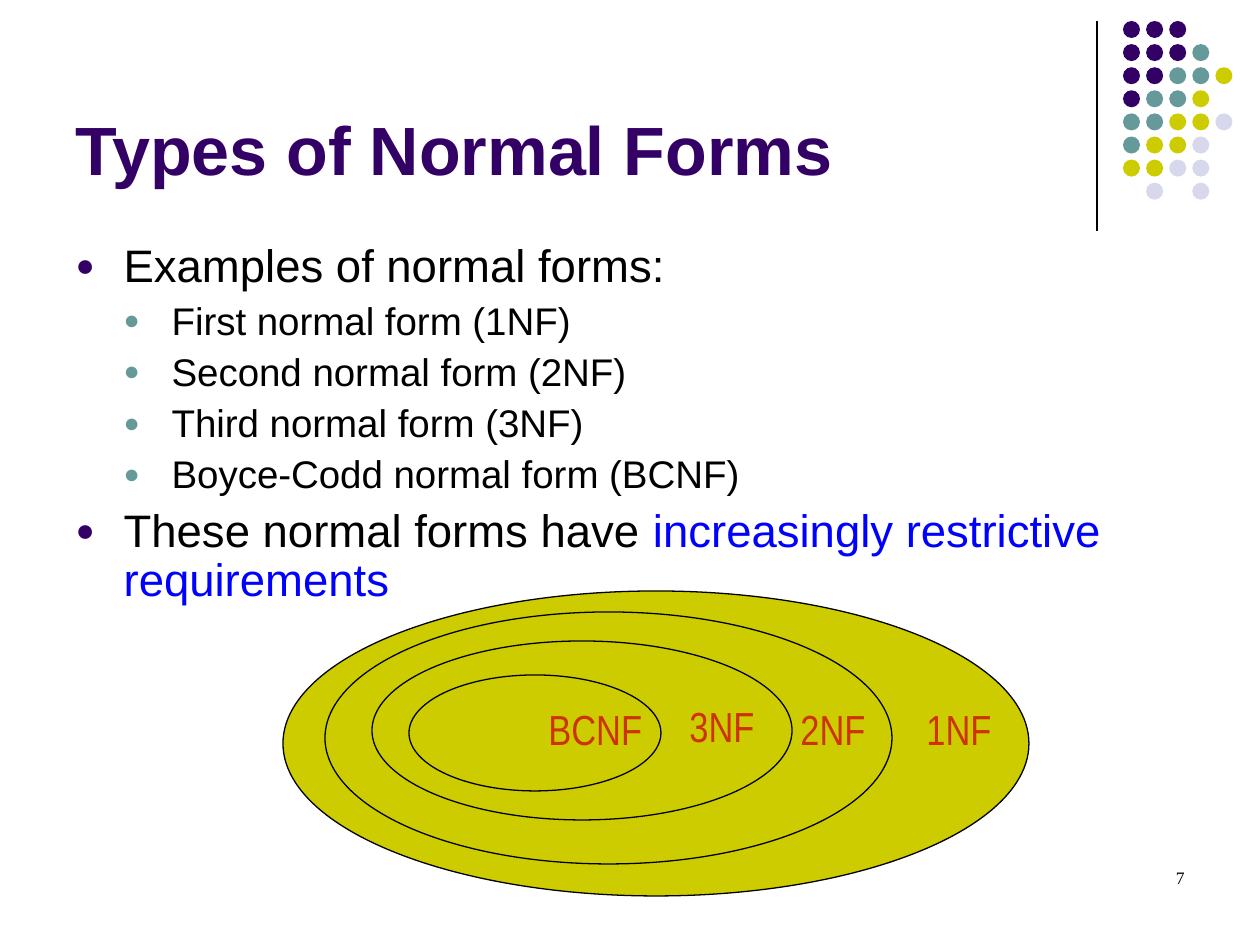
"""Build the slide on types of normal forms with its nested-set diagram."""
from dataclasses import dataclass

import pptx
import pptx.dml.color
import pptx.enum.shapes
import pptx.enum.text
import pptx.util
from lxml import etree

EMU_PER_PX = 914400 / 126
ALIGN = pptx.enum.text.PP_ALIGN
ANCHOR = pptx.enum.text.MSO_ANCHOR
AUTO_SIZE = pptx.enum.text.MSO_AUTO_SIZE
OVAL = pptx.enum.shapes.MSO_SHAPE.OVAL
STRAIGHT = pptx.enum.shapes.MSO_CONNECTOR.STRAIGHT


@dataclass(frozen=True)
class Theme:
    heading: str = "330066"
    teal: str = "669999"
    olive: str = "CCCC00"
    pale: str = "D8D8EC"
    ink: str = "000000"
    emphasis: str = "0000FF"
    label: str = "CC3300"
    body_font: str = "Arial"
    label_font: str = "Arial Narrow"
    number_font: str = "Times New Roman"
    title_size: int = 39
    body_sizes: tuple = (26, 22)
    label_size: int = 24
    number_size: int = 10
    space_before: tuple = (6.5, 5.5)
    line_width: float = 0.75


def px(length):
    return pptx.util.Emu(round(length * EMU_PER_PX))


def rgb(color):
    return pptx.dml.color.RGBColor.from_string(color)


def add_element(parent, tag, **attributes):
    return etree.SubElement(parent, pptx.oxml.ns.qn(tag), **attributes)


class SlideBuilder:
    def __init__(self, slide, theme):
        self.slide = slide
        self.theme = theme

    def style(self, paragraph, size, font, color=None, bold=False):
        paragraph.font.size = pptx.util.Pt(size)
        paragraph.font.name = font
        paragraph.font.bold = bold
        if color:
            paragraph.font.color.rgb = rgb(color)

    def place(self, holder, left, top, width, height, anchor):
        holder.left, holder.top = px(left), px(top)
        holder.width, holder.height = px(width), px(height)
        frame = holder.text_frame
        frame.auto_size = AUTO_SIZE.NONE
        frame.vertical_anchor = anchor
        return frame

    def title(self, text, *box):
        heading = self.place(self.slide.shapes.title, *box, ANCHOR.BOTTOM).paragraphs[0]
        heading.text = text
        heading.alignment = ALIGN.LEFT
        theme = self.theme
        self.style(heading, theme.title_size, theme.body_font, theme.heading, bold=True)

    def bullets(self, items, *box):
        theme = self.theme
        frame = self.place(self.slide.placeholders[1], *box, ANCHOR.TOP)
        for index, (level, *runs) in enumerate(items):
            item = frame.paragraphs[0] if index == 0 else frame.add_paragraph()
            item.level = level
            item.alignment = ALIGN.LEFT
            item.line_spacing = 0.9
            item.space_before = pptx.util.Pt(theme.space_before[level] if index else 0)
            self.bullet(item, level)
            colors = {color for _, color in runs}
            shared = colors.pop() if len(colors) == 1 else None
            self.style(item, theme.body_sizes[level], theme.body_font, shared)
            for text, color in runs:
                run = item.add_run()
                run.text = text
                if not shared:
                    run.font.color.rgb = rgb(color)

    def bullet(self, item, level):
        theme = self.theme
        properties = item._p.get_or_add_pPr()
        properties.set("marL", str(px(48 * (level + 1))))
        properties.set("indent", str(px(-48)))
        bullet_color = add_element(properties, "a:buClr")
        add_element(bullet_color, "a:srgbClr", val=(theme.heading, theme.teal)[level])
        add_element(properties, "a:buSzPct", val="70000")
        add_element(properties, "a:buFont", typeface=theme.body_font)
        add_element(properties, "a:buChar", char="●")

    def group(self):
        return self.slide.shapes.add_group_shape()

    def ellipse(self, group, box, fill, outline=None):
        oval = group.shapes.add_shape(OVAL, *map(px, box))
        oval.shadow.inherit = False
        oval.fill.solid()
        oval.fill.fore_color.rgb = rgb(fill)
        if outline:
            oval.line.color.rgb = rgb(outline)
            oval.line.width = pptx.util.Pt(self.theme.line_width)
        else:
            oval.line.fill.background()

    def text(self, owner, text, box, size, font, color, align=ALIGN.LEFT, wrap=False):
        frame = owner.shapes.add_textbox(*map(px, box)).text_frame
        frame.word_wrap = wrap
        frame.auto_size = AUTO_SIZE.NONE if wrap else AUTO_SIZE.SHAPE_TO_FIT_TEXT
        line = frame.paragraphs[0]
        line.text = text
        line.alignment = align
        self.style(line, size, font, color)

    def rule(self, x, top, bottom):
        divider = self.slide.shapes.add_connector(STRAIGHT, px(x), px(top), px(x), px(bottom))
        divider.line.color.rgb = rgb(self.theme.ink)
        divider.line.width = pptx.util.Pt(self.theme.line_width)
        add_element(divider._element.spPr, "a:effectLst")

    def dot_grid(self, rows, left, top, pitch, size):
        theme = self.theme
        colors = {"h": theme.heading, "t": theme.teal, "o": theme.olive, "p": theme.pale}
        dots = self.group()
        for row, codes in enumerate(rows):
            for column, code in enumerate(codes):
                if code in colors:
                    box = (left + column * pitch, top + row * pitch, size, size)
                    self.ellipse(dots, box, colors[code])

    def nested_set(self, name, oval_box, label_box):
        theme = self.theme
        group = self.group()
        self.ellipse(group, oval_box, theme.olive, theme.ink)
        self.text(group, name, label_box, theme.label_size, theme.label_font, theme.label)


def main():
    theme = Theme()
    deck = pptx.Presentation()
    deck.slide_width, deck.slide_height = px(1260), px(945)
    builder = SlideBuilder(deck.slides.add_slide(deck.slide_layouts[1]), theme)

    builder.title("Types of Normal Forms", 63, 31, 1040, 164)
    forms = (
        "First normal form (1NF)",
        "Second normal form (2NF)",
        "Third normal form (3NF)",
        "Boyce-Codd normal form (BCNF)",
    )
    items = [
        (0, ("Examples of normal forms:", theme.ink)),
        *((1, (form, theme.ink)) for form in forms),
        (
            0,
            ("These normal forms have ", theme.ink),
            ("increasingly restrictive requirements", theme.emphasis),
        ),
    ]
    builder.bullets(items, 63, 237, 1134, 464)

    builder.rule(1097, 21, 231)
    dot_rows = ("hhh", "hhht", "hhtto", "htto", "ttoop", "toop", "oopp", ".p.p")
    builder.dot_grid(dot_rows, left=1123, top=21, pitch=23.1, size=17)

    nested_forms = (
        ("1NF", (283, 591, 746, 305), (914, 697, 92, 63)),
        ("2NF", (325, 612, 567, 252), (788, 697, 92, 63)),
        ("3NF", (372, 641, 420, 179), (677, 694, 92, 63)),
        ("BCNF", (409, 675, 252, 116), (536, 697, 121, 63)),
    )
    for nested_form in nested_forms:
        builder.nested_set(*nested_form)

    builder.text(
        builder.slide, "7", (903, 861, 294, 63), theme.number_size,
        theme.number_font, theme.ink, ALIGN.RIGHT, wrap=True,
    )
    deck.save("out.pptx")


if __name__ == "__main__":
    main()
